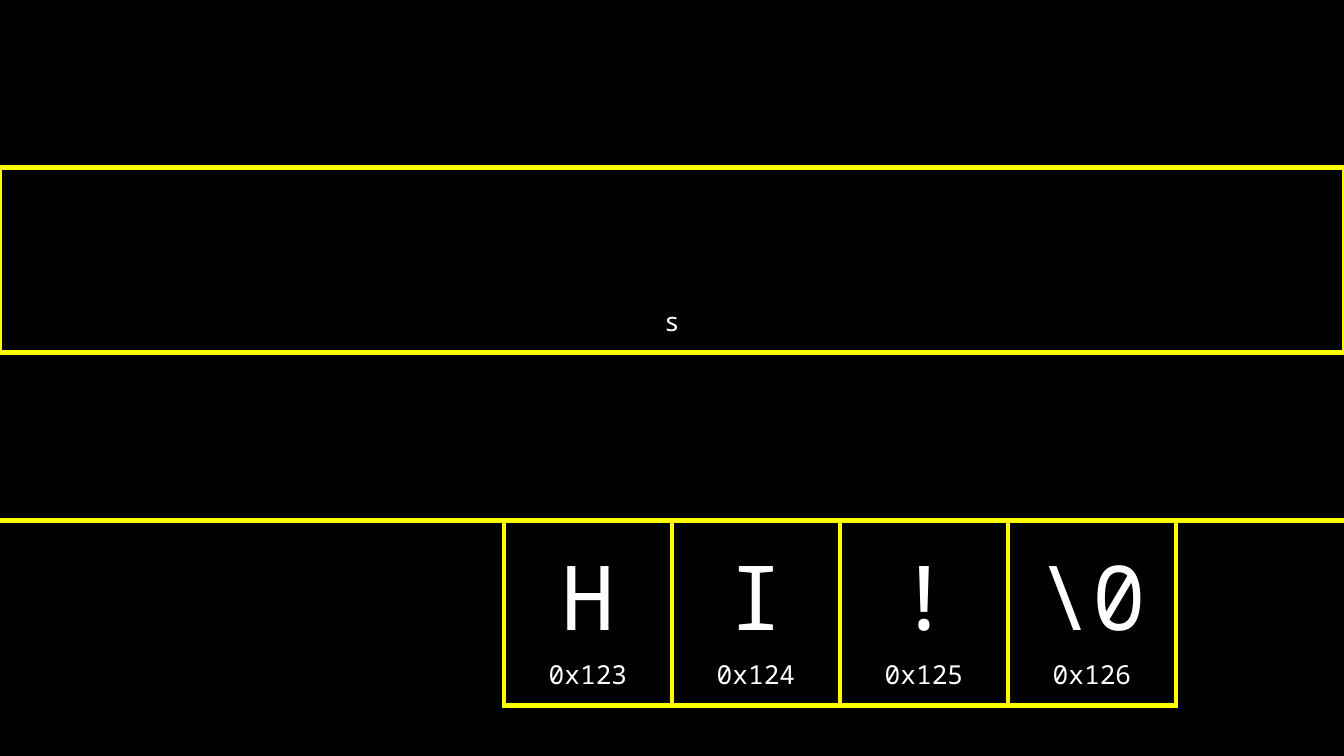
"""Build a memory grid showing a string variable and its addressed characters."""
from dataclasses import dataclass
from typing import Optional

from lxml.etree import SubElement
from pptx import Presentation
from pptx.dml.color import RGBColor
from pptx.enum.text import MSO_ANCHOR, PP_ALIGN
from pptx.oxml.ns import qn
from pptx.util import Cm, Pt


@dataclass(frozen=True)
class Theme:
    background: str = "000000"
    text: str = "FFFFFF"
    frame: str = "FFFF00"
    font: str = "Noto Sans Mono"
    letter_size: int = 48
    label_size: int = 14
    frame_width: int = 3


@dataclass(frozen=True)
class MemoryBox:
    row: int
    column: int
    label: str
    letter: str = ""
    span: int = 1

    def covers(self, row: int, column: int) -> bool:
        return row == self.row and self.column <= column < self.column + self.span


THEME = Theme()
ROWS, COLUMNS = 5, 8
PAGE_WIDTH, PAGE_HEIGHT = Cm(25.4), Cm(14.29)
SIDE = PAGE_WIDTH // COLUMNS
TALL_ROW = Cm(3.49)
NO_GRID_STYLE = "{2D5ABB26-0587-4C30-8999-92F81FD0307C}"
BOXES = [MemoryBox(1, 0, "s", span=COLUMNS)] + [
    MemoryBox(3, 3 + index, f"0x{123 + index}", letter)
    for index, letter in enumerate(["H", "I", "!", "\\0"])
]


def box_at(row: int, column: int) -> Optional[MemoryBox]:
    return next((box for box in BOXES if box.covers(row, column)), None)


def draw_edge(cell, tag: str) -> None:
    line = SubElement(cell._tc.get_or_add_tcPr(), qn(tag), w=str(Pt(THEME.frame_width)))
    fill = SubElement(line, qn("a:solidFill"))
    SubElement(fill, qn("a:srgbClr"), val=THEME.frame)


def draw_edges(cell, row: int, column: int) -> None:
    here = box_at(row, column)
    span = cell.span_width if cell.is_merge_origin else 1
    neighbours = {
        "a:lnL": (row, column - 1),
        "a:lnR": (row, column + span),
        "a:lnT": (row - 1, column),
        "a:lnB": (row + 1, column),
    }
    for tag, place in neighbours.items():
        if box_at(*place) != here:
            draw_edge(cell, tag)


def add_line(para, text: str, size: int) -> None:
    para.alignment = PP_ALIGN.CENTER
    span = para.add_run()
    span.text = text
    span.font.name = THEME.font
    span.font.size = Pt(size)
    span.font.color.rgb = RGBColor.from_string(THEME.text)


def write_box(cell, box: MemoryBox) -> None:
    cell.margin_left = cell.margin_right = Cm(0.25)
    cell.margin_top = cell.margin_bottom = Cm(0.25)
    cell.vertical_anchor = MSO_ANCHOR.BOTTOM
    para = cell.text_frame.paragraphs[0]
    if box.letter:
        add_line(para, box.letter, THEME.letter_size)
        para = cell.text_frame.add_paragraph()
    add_line(para, box.label, THEME.label_size)


def add_memory_grid(page) -> None:
    frame = page.shapes.add_table(ROWS, COLUMNS, 0, 0, PAGE_WIDTH, SIDE * ROWS)
    table = frame.table
    table.first_row = table.horz_banding = False
    table._tbl.tblPr.find(qn("a:tableStyleId")).text = NO_GRID_STYLE
    for column in table.columns:
        column.width = SIDE
    for index, row in enumerate(table.rows):
        row.height = TALL_ROW if any(box.row == index for box in BOXES) else SIDE
    for box in BOXES:
        cell = table.cell(box.row, box.column)
        if box.span > 1:
            cell.merge(table.cell(box.row, box.column + box.span - 1))
        write_box(cell, box)
    for row in range(ROWS):
        for column in range(COLUMNS):
            cell = table.cell(row, column)
            draw_edges(cell, row, column)
            cell.fill.background()


def main() -> None:
    deck = Presentation()
    deck.slide_width, deck.slide_height = PAGE_WIDTH, PAGE_HEIGHT
    page = deck.slides.add_slide(deck.slide_layouts[6])
    page.background.fill.solid()
    page.background.fill.fore_color.rgb = RGBColor.from_string(THEME.background)
    add_memory_grid(page)
    deck.save("out.pptx")


if __name__ == "__main__":
    main()
